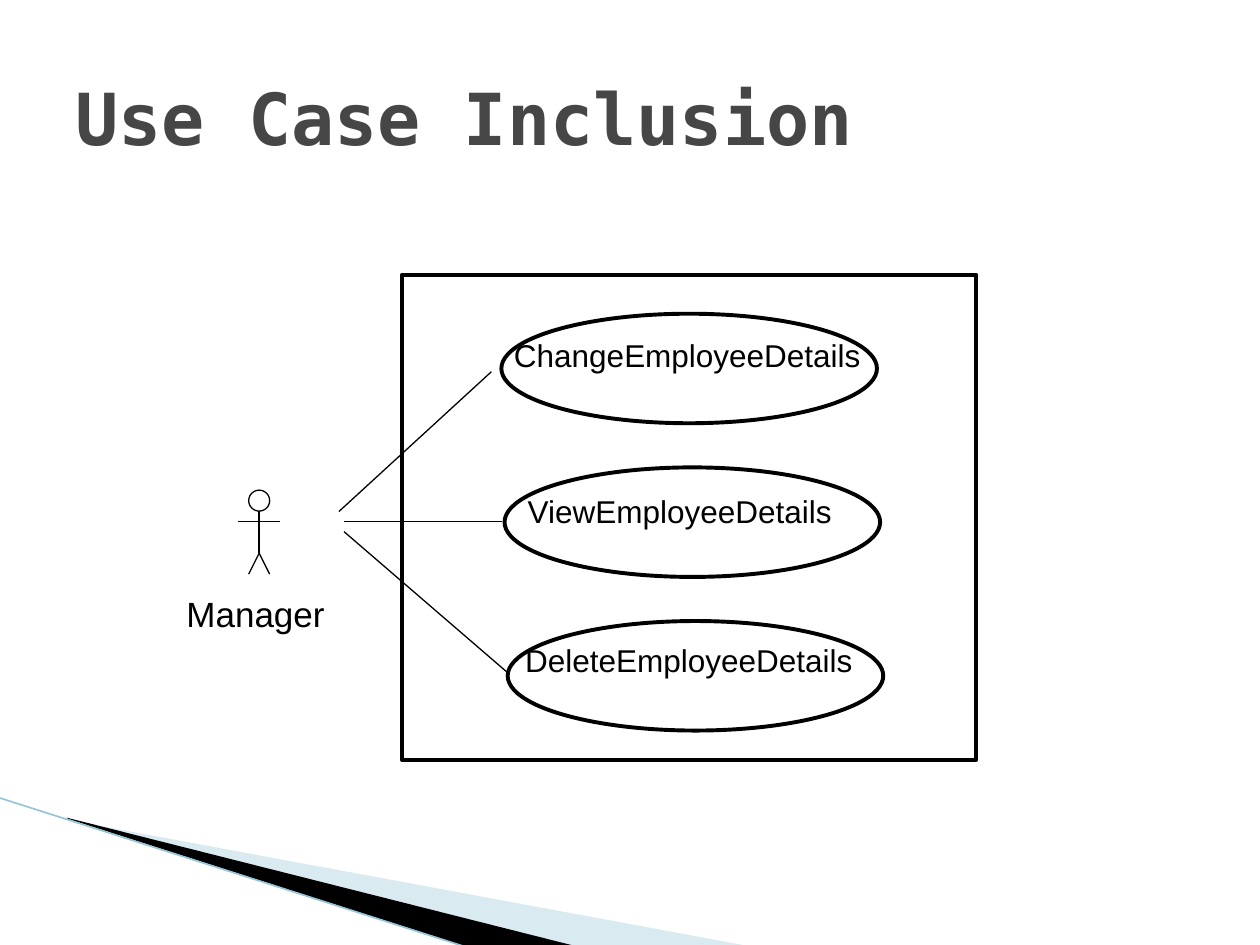
from lxml.etree import SubElement
from pptx import Presentation
from pptx.dml.color import RGBColor
from pptx.enum.shapes import MSO_CONNECTOR, MSO_SHAPE
from pptx.enum.text import MSO_ANCHOR, MSO_AUTO_SIZE, PP_ALIGN
from pptx.oxml.ns import qn
from pptx.util import Pt

BLACK = RGBColor(0x00, 0x00, 0x00)
TITLE_GREY = RGBColor(0x46, 0x46, 0x46)
PALE_BLUE = RGBColor(0xA0, 0xCB, 0xDC)
EDGE_BLUE = RGBColor(0x97, 0xC5, 0xD8)

# Use case name, label left, label top, label width
USE_CASES = [
    ("ChangeEmployeeDetails", 286.6, 188.6, 214.6),
    ("ViewEmployeeDetails", 294.5, 277.9, 190.1),
    ("DeleteEmployeeDetails", 293, 362.9, 203),
]
# Lines from the manager to the use cases
ASSOCIATIONS = [
    ((193.7, 292.3), (280.8, 212.4)),
    ((196.6, 298.1), (286.6, 298.1)),
    ((196.6, 303.8), (289.4, 383.8)),
]


def add_outline(shapes, kind, left, top, width, height, weight):
    shape = shapes.add_shape(kind, Pt(left), Pt(top), Pt(width), Pt(height))
    shape.shadow.inherit = False
    shape.fill.background()
    shape.line.color.rgb = BLACK
    shape.line.width = Pt(weight)


def add_line(shapes, start, end, color=BLACK, weight=0.75):
    line = shapes.add_connector(
        MSO_CONNECTOR.STRAIGHT, *(Pt(value) for value in start + end))
    line.line.color.rgb = color
    line.line.width = Pt(weight)
    SubElement(line._element.spPr, qn("a:effectLst"))


def add_freeform(shapes, points, close):
    corners = [(Pt(x), Pt(y)) for x, y in points]
    builder = shapes.build_freeform(*corners[0])
    builder.add_line_segments(corners[1:], close=close)
    shape = builder.convert_to_shape()
    shape.shadow.inherit = False
    return shape


def add_wedge(shapes, points, color, opacity=100):
    wedge = add_freeform(shapes, points, close=True)
    wedge.fill.solid()
    wedge.fill.fore_color.rgb = color
    wedge.line.fill.background()
    if opacity < 100:
        tint = wedge._element.spPr.find(qn("a:solidFill"))[0]
        SubElement(tint, qn("a:alpha"), val=str(opacity * 1000))


def add_text(shapes, text, left, top, width, height, size,
             font="Arial", color=BLACK, bold=False):
    box = shapes.add_textbox(Pt(left), Pt(top), Pt(width), Pt(height))
    frame = box.text_frame
    frame.word_wrap = False
    frame.auto_size = MSO_AUTO_SIZE.SHAPE_TO_FIT_TEXT
    para = frame.paragraphs[0]
    para.alignment = PP_ALIGN.LEFT
    span = para.add_run()
    span.text = text
    span.font.size = Pt(size)
    span.font.name = font
    span.font.bold = bold
    span.font.color.rgb = color
    return frame


def add_title(shapes, text):
    frame = add_text(shapes, text, 36, 21.6, 648, 90, 41,
                     "DejaVu Sans Mono", TITLE_GREY, bold=True)
    frame.word_wrap = True
    frame.auto_size = MSO_AUTO_SIZE.NONE
    frame.vertical_anchor = MSO_ANCHOR.MIDDLE


def add_actor(shapes, name):
    figure = shapes.add_group_shape().shapes
    center = 148.1
    add_outline(figure, MSO_SHAPE.OVAL, center - 6, 280.1, 12, 12, 0.75)
    add_line(figure, (center, 292.1), (center, 316.1))
    legs = add_freeform(
        figure, [(center - 6, 328.1), (center, 316.1), (center + 6, 328.1)],
        close=False)
    legs.fill.background()
    legs.line.color.rgb = BLACK
    legs.line.width = Pt(0.75)
    add_line(figure, (center - 12, 298.1), (center + 12, 298.1))
    add_text(shapes, name, 99.4, 334.8, 94.3, 31.7, 20)


def main():
    deck = Presentation()
    deck.slide_width, deck.slide_height = Pt(720), Pt(540)
    page = deck.slides.add_slide(deck.slide_layouts[6])
    shapes = page.shapes

    # Corner decoration
    add_wedge(shapes, [(39.6, 468.7), (428.4, 540.7), (328.3, 540.7),
                       (39.6, 468)], PALE_BLUE, opacity=40)
    add_wedge(shapes, [(38.2, 467.3), (329, 540.7), (267.8, 541.4),
                       (38.9, 468)], BLACK)
    add_line(shapes, (-0.7, 455.8), (267.1, 541.4), EDGE_BLUE, 0.95)

    add_title(shapes, "Use Case Inclusion")

    # System boundary and actor
    add_outline(shapes, MSO_SHAPE.RECTANGLE, 229.7, 157, 328.3, 277.2, 2.25)
    add_actor(shapes, "Manager")

    # Associations and use cases
    for start, end in ASSOCIATIONS:
        add_line(shapes, start, end)
    for index, (name, left, top, width) in enumerate(USE_CASES):
        add_outline(shapes, MSO_SHAPE.OVAL, 286.5 + 1.8 * index,
                    179.3 + 87.8 * index, 214.6, 62.6, 2.25)
        add_text(shapes, name, left, top, width, 36, 18)

    deck.save("out.pptx")


if __name__ == "__main__":
    main()
